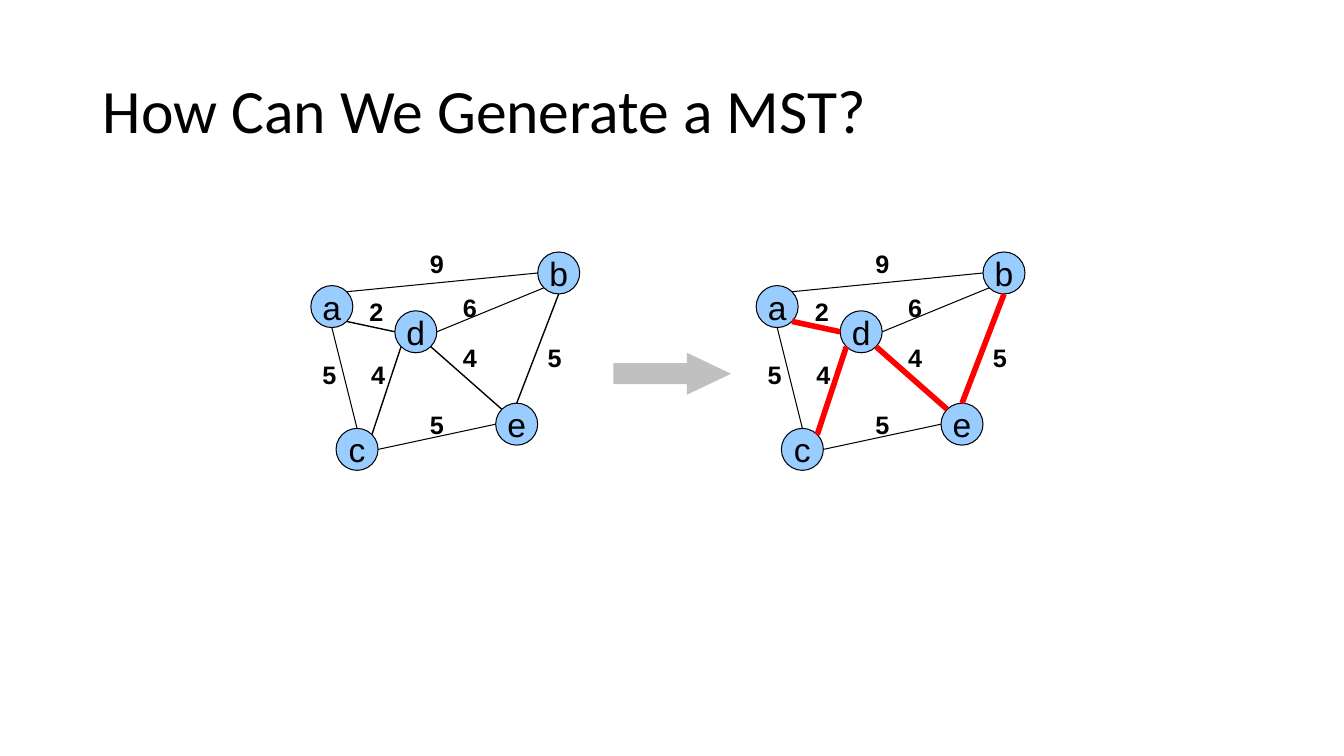
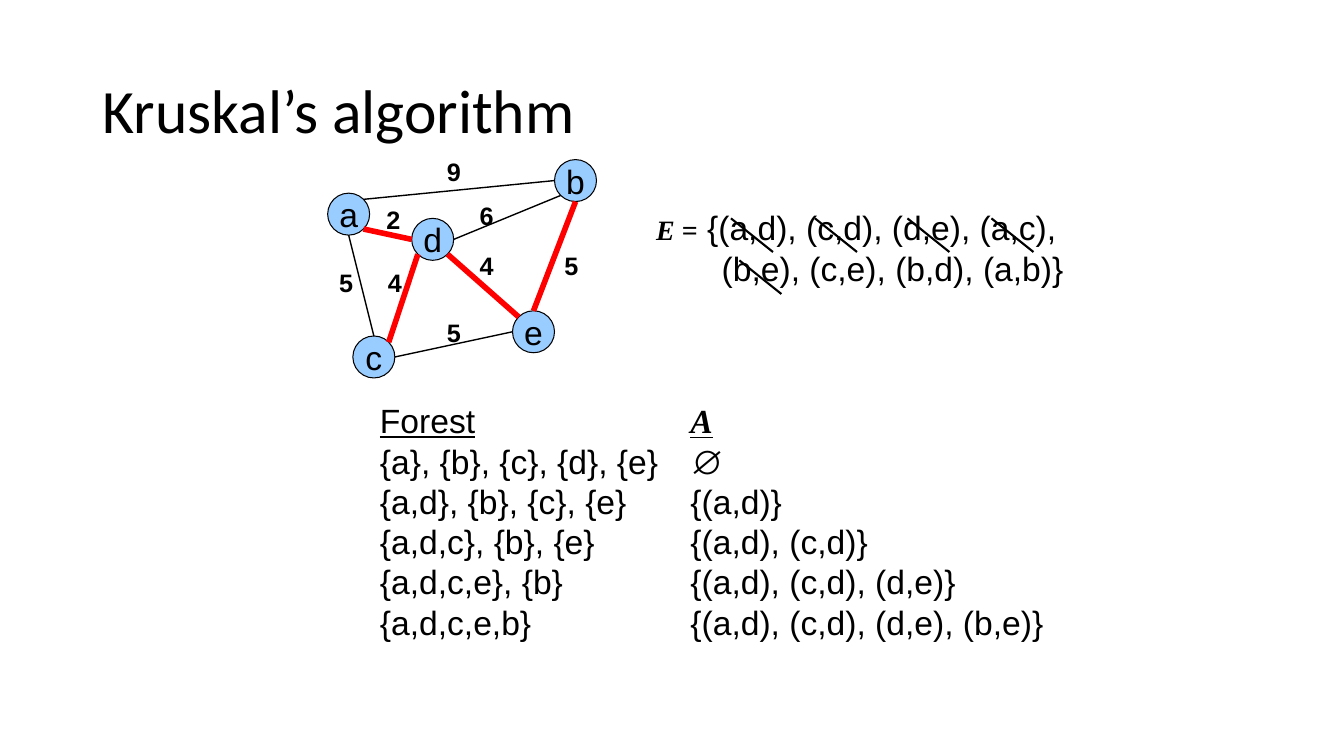
"""Build two slides on minimum spanning trees and Kruskal's algorithm."""
from math import sqrt

from lxml.etree import SubElement
from pptx import Presentation
from pptx.dml.color import RGBColor
from pptx.enum.shapes import MSO_CONNECTOR, MSO_SHAPE
from pptx.enum.text import MSO_ANCHOR, PP_ALIGN
from pptx.oxml.ns import qn
from pptx.util import Inches, Pt

COLORS = {"ink": "000000", "node": "99CCFF", "tree": "FF0000", "arrow": "C0C0C0"}
SANS, SERIF, HEADING = "Arial", "Times New Roman", "Calibri"
CELL = Inches(1) / 12
NODE_CELLS = 5
NODES = {"a": (0, 4), "c": (3, 21), "e": (22, 18), "d": (10, 7), "b": (27, 0)}
DIAGONAL = sqrt(0.5)
COMPASS = {
    "N": (0, -1), "S": (0, 1), "W": (-1, 0), "E": (1, 0),
    "NE": (DIAGONAL, -DIAGONAL), "SE": (DIAGONAL, DIAGONAL),
    "NW": (-DIAGONAL, -DIAGONAL), "SW": (-DIAGONAL, DIAGONAL),
}
EDGES = [
    ("a", "NE", "b", "W", "9", (13, -1)),
    ("d", "E", "b", "SW", "6", (16.9, 4.2)),
    ("a", "S", "c", "N", "5", (0.2, 12.2)),
    ("a", "SE", "d", "W", "2", (5.8, 4.7)),
    ("c", "NE", "d", "SW", "4", (6, 12.2)),
    ("d", "SE", "e", "NW", "4", (16.9, 10.2)),
    ("b", "S", "e", "N", "5", (27, 10.2)),
    ("e", "W", "c", "E", "5", (13, 18.2)),
]
TREE = {"ad", "cd", "de", "be"}
EDGE_LIST = ["{(a,d), (c,d), (d,e), (a,c),", "(b,e), (c,e), (b,d), (a,b)}"]
STRIKES = [(87, 26), (97, 26), (108, 26), (118, 26), (88, 31)]
STEPS = [
    ("Forest", "A"),
    ("{a}, {b}, {c}, {d}, {e}", "∅"),
    ("{a,d}, {b}, {c}, {e}", "{(a,d)}"),
    ("{a,d,c}, {b}, {e}", "{(a,d), (c,d)}"),
    ("{a,d,c,e}, {b}", "{(a,d), (c,d), (d,e)}"),
    ("{a,d,c,e,b}", "{(a,d), (c,d), (d,e), (b,e)}"),
]
STEP_COLUMNS = [(3.67, 2.99), (6.75, 3.73)]


def rgb(name):
    return RGBColor.from_string(COLORS[name])


def style(font, size, name=SANS, bold=False, italic=False, underline=False):
    font.size, font.name, font.bold = Pt(size), name, bold
    font.italic, font.underline = italic, underline
    font.color.rgb = rgb("ink")


def cells(*counts):
    return [round(count * CELL) for count in counts]


def add_line(shapes, start, end, width, color="ink"):
    line = shapes.add_connector(MSO_CONNECTOR.STRAIGHT, *cells(*start, *end))
    line.line.width = Pt(width)
    line.line.color.rgb = rgb(color)
    SubElement(line._element.spPr, qn("a:effectLst"))


def add_text(shapes, box, lines, size, **look):
    frame = shapes.add_textbox(*box).text_frame
    frame.word_wrap = False
    frame.text = "\n".join(lines)
    for paragraph in frame.paragraphs:
        paragraph.alignment = PP_ALIGN.LEFT
        style(paragraph.font, size, **look)
    return frame


def add_block(shapes, kind, box, fill):
    block = shapes.add_shape(kind, *cells(*box))
    block.shadow.inherit = False
    block.fill.solid()
    block.fill.fore_color.rgb = rgb(fill)
    block.line.fill.background()
    return block


def add_node(shapes, name, left, top):
    node = add_block(shapes, MSO_SHAPE.OVAL, (left, top, NODE_CELLS, NODE_CELLS), "node")
    node.line.color.rgb = rgb("ink")
    node.line.width = Pt(0.75)
    frame = node.text_frame
    frame.word_wrap = False
    frame.vertical_anchor = MSO_ANCHOR.MIDDLE
    frame.text = name
    frame.paragraphs[0].alignment = PP_ALIGN.CENTER
    style(frame.paragraphs[0].font, 24)


def add_graph(slide, left, top, tree_width, tree_color, plain_width=0.75):
    shapes = slide.shapes.add_group_shape().shapes
    radius = NODE_CELLS / 2

    def rim(node, side):
        (x, y), (dx, dy) = NODES[node], COMPASS[side]
        return left + x + radius * (1 + dx), top + y + radius * (1 + dy)

    for name, (x, y) in NODES.items():
        add_node(shapes, name, left + x, top + y)
    for begin, begin_side, end, end_side, _, _ in EDGES:
        in_tree = "".join(sorted(begin + end)) in TREE
        look = (tree_width, tree_color) if in_tree else (plain_width, "ink")
        add_line(shapes, rim(begin, begin_side), rim(end, end_side), *look)
    for *_, weight, (x, y) in EDGES:
        box = cells(left + x, top + y, 4.1, 4.8)
        add_text(shapes, box, [weight], 18, bold=True)


def add_titled_slide(deck, text):
    slide = deck.slides.add_slide(deck.slide_layouts[5])
    title = slide.shapes.title
    title.left, title.top, title.width, title.height = map(Inches, (0.92, 0.4, 11.5, 1.45))
    title.text_frame.vertical_anchor = MSO_ANCHOR.MIDDLE
    title.text_frame.text = text
    paragraph = title.text_frame.paragraphs[0]
    paragraph.alignment = PP_ALIGN.LEFT
    paragraph.line_spacing = 0.9
    style(paragraph.font, 44, HEADING)
    return slide


def build_question(deck):
    slide = add_titled_slide(deck, "How Can We Generate a MST?")
    add_graph(slide, 37, 30, 1, "ink")
    add_graph(slide, 90, 30, 4, "tree")
    arrow = add_block(slide.shapes, MSO_SHAPE.RIGHT_ARROW, (73, 42, 14, 5), "arrow")
    arrow.adjustments[1] = 1.05


def build_kruskal(deck):
    slide = add_titled_slide(deck, "Kruskal’s algorithm")
    edge_box = map(Inches, (6.41, 2, 4.3, 0.91))
    frame = add_text(slide.shapes, edge_box, ["", EDGE_LIST[1]], 24)
    frame.vertical_anchor = MSO_ANCHOR.MIDDLE
    first, second = frame.paragraphs
    for text, italic in (("E ", True), ("=", False)):
        run = first.add_run()
        run.text = text
        style(run.font, 20, SERIF, bold=True, italic=italic)
    first.add_run().text = " " + EDGE_LIST[0]
    second._p.get_or_add_pPr().set("marL", str(Inches(0.65)))

    for (left, width), lines in zip(STEP_COLUMNS, zip(*STEPS)):
        box = map(Inches, (left, 3.92, width, 2.52))
        heading = add_text(slide.shapes, box, lines, 24).paragraphs[0]
        is_set_name = lines[0] == "A"
        style(heading.font, 24, SERIF if is_set_name else SANS,
              bold=is_set_name, italic=is_set_name, underline=True)

    add_graph(slide, 39, 19, 4, "tree", plain_width=1)
    for x, y in STRIKES:
        add_line(slide.shapes, (x, y), (x + 5, y + 4), 1.5)


def main():
    deck = Presentation()
    deck.slide_width, deck.slide_height = Inches(13.33), Inches(7.5)
    build_question(deck)
    build_kruskal(deck)
    deck.save("out.pptx")


if __name__ == "__main__":
    main()
